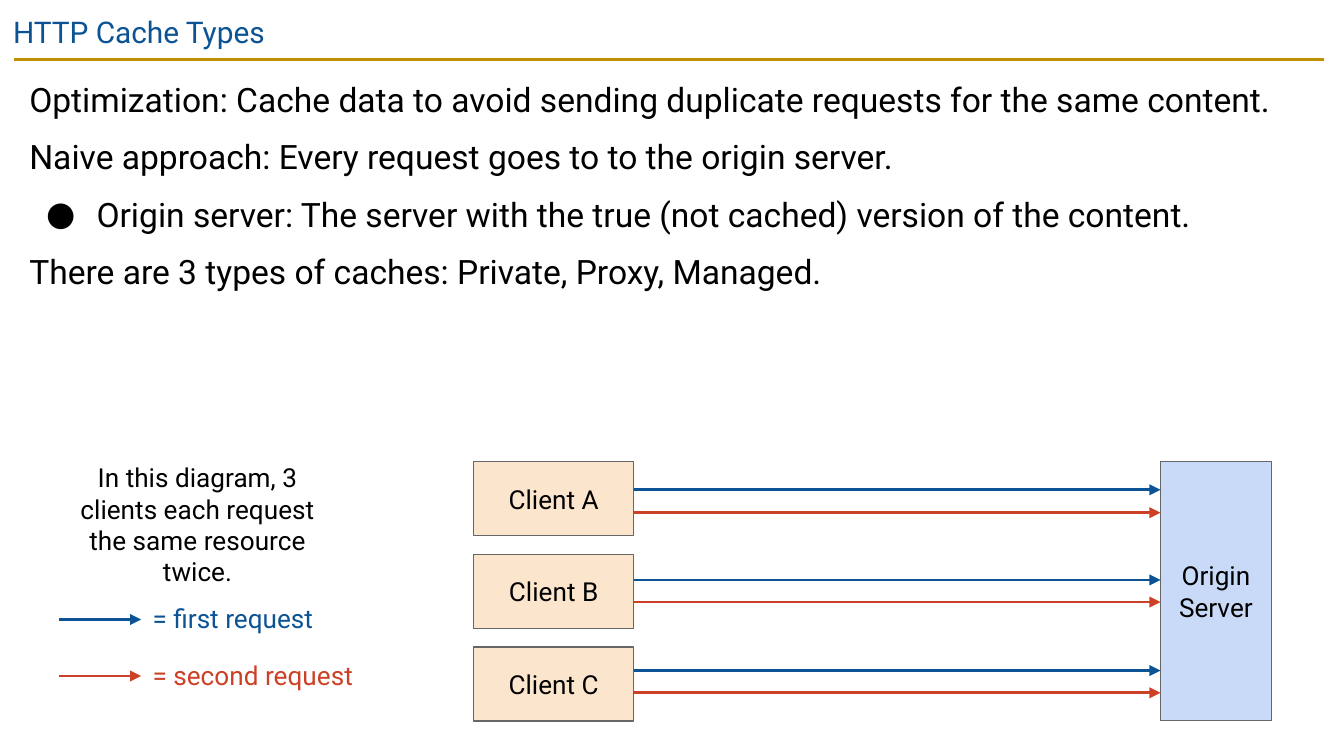
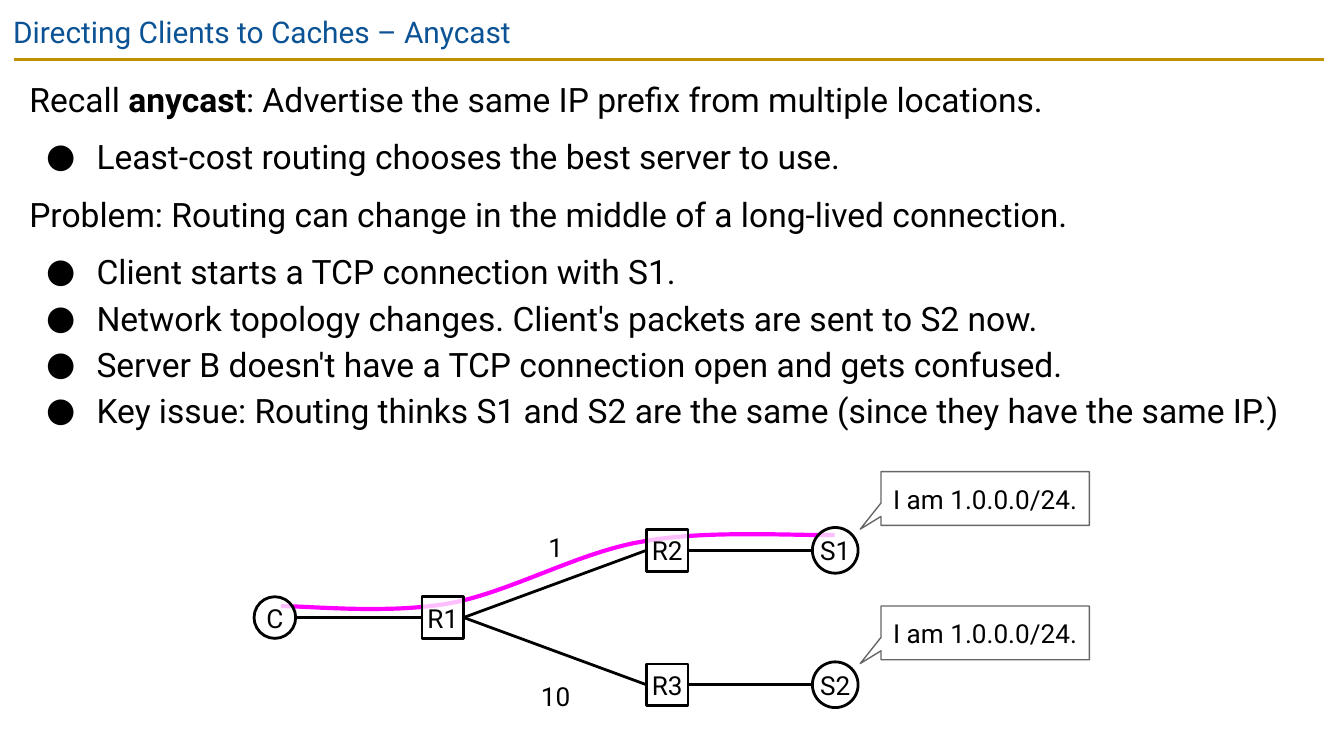
from dataclasses import dataclass

from lxml.etree import SubElement
from pptx import Presentation
from pptx.dml.color import RGBColor
from pptx.enum.shapes import MSO_CONNECTOR as Connector, MSO_SHAPE as Preset
from pptx.enum.text import MSO_ANCHOR as Anchor, PP_ALIGN as Align
from pptx.oxml.ns import qn
from pptx.util import Pt

EMU_PER_PX = 4572
LEFT, RIGHT = 1, 3


@dataclass(frozen=True)
class Theme:
    font: str = "Roboto"
    title_size: int = 16
    body_size: int = 18
    label_size: int = 14
    thin: float = 0.75
    medium: float = 1.5
    thick: float = 2.25
    black: str = "000000"
    white: str = "FFFFFF"
    gray: str = "666666"
    gold: str = "BF9000"
    blue: str = "0B5394"
    red: str = "CC4125"
    magenta: str = "FF00FF"
    client: str = "FCE5CD"
    server: str = "C9DAF8"


def px(value):
    return round(value * EMU_PER_PX)


def rgb(value):
    return RGBColor.from_string(value)


def bezier(start, first, second, end, steps=24):
    for step in range(1, steps + 1):
        t = step / steps
        weights = ((1 - t) ** 3, 3 * t * (1 - t) ** 2, 3 * t * t * (1 - t), t ** 3)
        yield tuple(
            px(sum(weight * point[axis] for weight, point in zip(weights, (start, first, second, end))))
            for axis in (0, 1)
        )


class Deck:
    def __init__(self, theme):
        self.theme = theme
        self.presentation = Presentation()
        self.presentation.slide_width = px(2000)
        self.presentation.slide_height = px(1125)
        self.slide = None

    def start_slide(self, title):
        self.slide = self.presentation.slides.add_slide(self.presentation.slide_layouts[6])
        self.line((21, 89), (1970, 89), self.theme.gold)
        self.text((0, 0, 2000, 86), title, self.theme.title_size, self.theme.blue, inset=20)

    def style_text(self, paragraph, size, color):
        for run in paragraph.runs:
            run.font.name = self.theme.font
            run.font.size = Pt(size)
            run.font.color.rgb = rgb(color)

    def set_frame(self, frame, inset):
        frame.word_wrap = True
        frame.margin_left = frame.margin_right = px(inset)
        frame.margin_top = frame.margin_bottom = px(inset)

    def text(self, box, content, size=None, color=None, align=Align.LEFT, inset=0):
        frame = self.slide.shapes.add_textbox(*map(px, box)).text_frame
        self.set_frame(frame, inset)
        frame.text = content
        paragraph = frame.paragraphs[0]
        paragraph.alignment = align
        self.style_text(paragraph, size or self.theme.label_size, color or self.theme.black)

    def add_bullet(self, paragraph):
        properties = paragraph._p.get_or_add_pPr()
        properties.set("marL", str(px(100)))
        properties.set("indent", str(px(-75)))
        bullet_color = SubElement(properties, qn("a:buClr"))
        SubElement(bullet_color, qn("a:srgbClr"), val=self.theme.black)
        SubElement(properties, qn("a:buFont"), typeface=self.theme.font)
        SubElement(properties, qn("a:buChar"), char="●")

    def body(self, height, lines):
        frame = self.slide.shapes.add_textbox(px(24), px(88), px(1948), px(height)).text_frame
        self.set_frame(frame, 20)
        after_bullet = False
        for index, line in enumerate(lines):
            paragraph = frame.add_paragraph() if index else frame.paragraphs[0]
            bulleted = line.startswith("● ")
            if bulleted:
                self.add_bullet(paragraph)
            paragraph.line_spacing = 1.15
            paragraph.space_before = Pt(0 if index == 0 or (bulleted and after_bullet) else 6)
            for part, words in enumerate(line.removeprefix("● ").split("**")):
                run = paragraph.add_run()
                run.text = words
                run.font.bold = part % 2 == 1
            self.style_text(paragraph, self.theme.body_size, self.theme.black)
            after_bullet = bulleted

    def shape(self, preset, box, content, fill=None, alpha=None, line=None, width=None, inset=0):
        shape = self.slide.shapes.add_shape(preset, *map(px, box))
        shape.shadow.inherit = False
        if fill:
            shape.fill.solid()
            shape.fill.fore_color.rgb = rgb(fill)
        else:
            shape.fill.background()
        if alpha:
            color = shape._element.spPr.find(qn("a:solidFill"))[0]
            SubElement(color, qn("a:alpha"), val=str(alpha * 1000))
        shape.line.color.rgb = rgb(line or self.theme.gray)
        shape.line.width = Pt(width or self.theme.thin)
        frame = shape.text_frame
        self.set_frame(frame, inset)
        frame.vertical_anchor = Anchor.MIDDLE
        frame.text = content
        frame.paragraphs[0].alignment = Align.CENTER
        self.style_text(frame.paragraphs[0], self.theme.label_size, self.theme.black)
        return shape

    def node(self, preset, left, middle, size, name):
        return self.shape(preset, (left, middle - size // 2, size, size), name, self.theme.white, 75,
                          self.theme.black, self.theme.medium)

    def callout(self, left, top, content):
        callout = self.shape(Preset.ROUNDED_RECTANGULAR_CALLOUT, (left, top, 310, 80), content)
        for index, value in enumerate((-0.6, 0.57, 0)):
            callout.adjustments[index] = value

    def line(self, start, end, color, arrow=False):
        connector = self.slide.shapes.add_connector(Connector.STRAIGHT, *map(px, start + end))
        connector.line.color.rgb = rgb(color)
        connector.line.width = Pt(self.theme.medium)
        properties = connector._element.spPr
        if arrow:
            SubElement(properties.find(qn("a:ln")), qn("a:tailEnd"), type="triangle")
        SubElement(properties, qn("a:effectLst"))
        return connector

    def curve(self, start, segments, color):
        builder = self.slide.shapes.build_freeform(px(start[0]), px(start[1]))
        for segment in segments:
            builder.add_line_segments(list(bezier(start, *segment)), close=False)
            start = segment[-1]
        shape = builder.convert_to_shape()
        shape.shadow.inherit = False
        shape.fill.background()
        shape.line.color.rgb = rgb(color)
        shape.line.width = Pt(self.theme.thick)


def build_cache_types(deck):
    theme = deck.theme
    deck.start_slide("HTTP Cache Types")
    deck.body(386, [
        "Optimization: Cache data to avoid sending duplicate requests for the same content.",
        "Naive approach: Every request goes to to the origin server.",
        "● Origin server: The server with the true (not cached) version of the content.",
        "There are 3 types of caches: Private, Proxy, Managed.",
    ])
    request_colors = (theme.blue, theme.red)
    deck.shape(Preset.RECTANGLE, (1727, 687, 165, 385), "Origin Server", theme.server, inset=20)
    request_rows = ((729, 763), (863, 896), (998, 1031))
    for index, (name, rows) in enumerate(zip("ABC", request_rows)):
        box = (705, 687 + 138 * index, 238, 110)
        deck.shape(Preset.RECTANGLE, box, f"Client {name}", theme.client, inset=20)
        for y, color in zip(rows, request_colors):
            deck.line((943, y), (1727, y), color, arrow=True)
    legend = (("first", 256), ("second", 318))
    for index, ((order, width), color) in enumerate(zip(legend, request_colors)):
        y = 922 + 84 * index
        deck.line((88, y), (210, y), color, arrow=True)
        deck.text((227, y - 25, width, 48), f"= {order} request", color=color)
    deck.text((88, 687, 412, 142), "In this diagram, 3 clients each request the same resource twice.",
              align=Align.CENTER)


def build_anycast(deck):
    theme = deck.theme
    deck.start_slide("Directing Clients to Caches – Anycast")
    deck.body(592, [
        "Recall **anycast**: Advertise the same IP prefix from multiple locations.",
        "● Least-cost routing chooses the best server to use.",
        "Problem: Routing can change in the middle of a long-lived connection.",
        "● Client starts a TCP connection with S1.",
        "● Network topology changes. Client's packets are sent to S2 now.",
        "● Server B doesn't have a TCP connection open and gets confused.",
        "● Key issue: Routing thinks S1 and S2 are the same (since they have the same IP.)",
    ])
    deck.curve((418, 902), [
        ((460, 902), (578, 914), (668, 898)),
        ((758, 882), (860, 822), (956, 806)),
        ((1050, 788), (1194, 798), (1242, 796)),
    ], theme.magenta)
    deck.node(Preset.OVAL, 378, 919, 62, "C")
    first_router = deck.node(Preset.RECTANGLE, 628, 919, 62, "R1")
    deck.line((628, 919), (440, 919), theme.black).begin_connect(first_router, LEFT)
    for index, (cost, cost_top) in enumerate((("1", 791), ("10", 1013))):
        y = 819 + 200 * index
        router = deck.node(Preset.RECTANGLE, 962, y, 62, f"R{index + 2}")
        deck.node(Preset.OVAL, 1209, y, 68, f"S{index + 1}")
        branch = deck.line((962, y), (690, 919), theme.black)
        branch.begin_connect(router, LEFT)
        branch.end_connect(first_router, RIGHT)
        deck.line((1209, y), (1024, y), theme.black).end_connect(router, RIGHT)
        deck.text((802, cost_top, 50, 48), cost, align=Align.CENTER)
        deck.callout(1311, y - 117, "I am 1.0.0.0/24.")


def main():
    deck = Deck(Theme())
    build_cache_types(deck)
    build_anycast(deck)
    deck.presentation.save("out.pptx")


if __name__ == "__main__":
    main()
